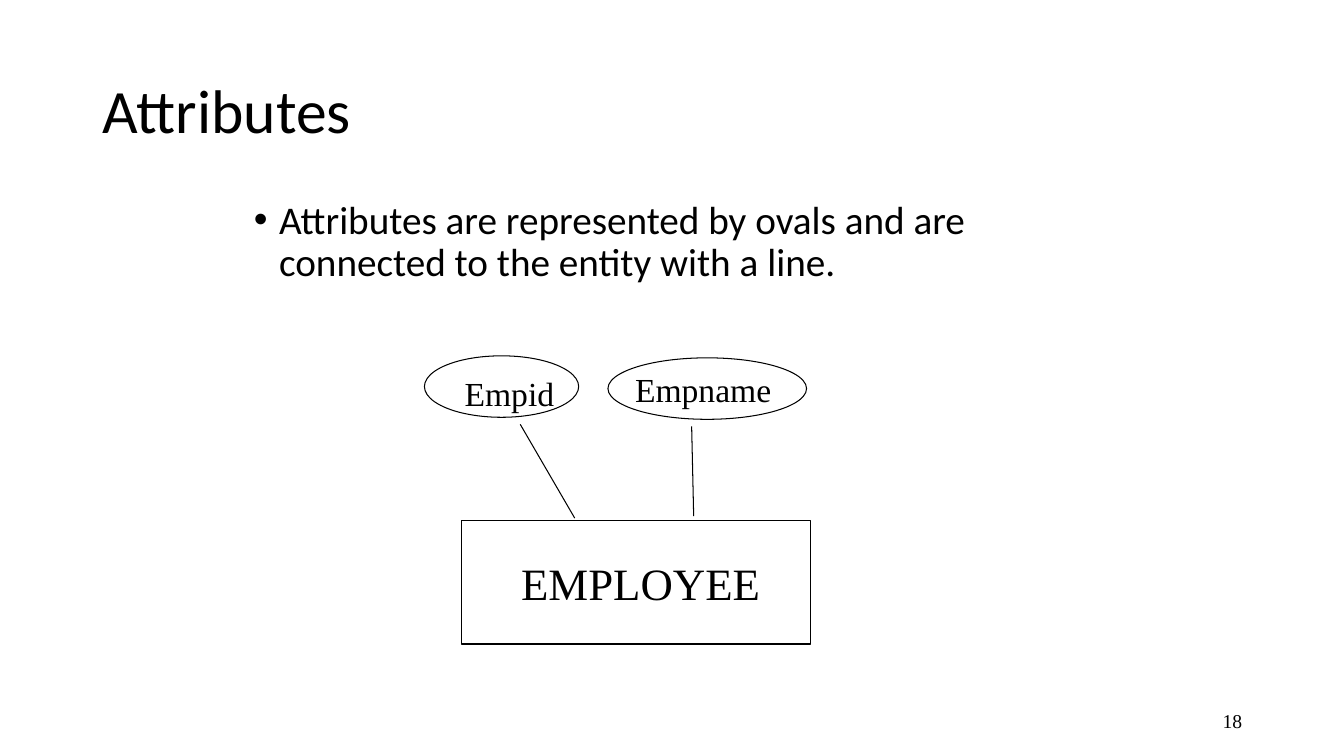
from lxml.etree import SubElement
from pptx import Presentation
from pptx.dml.color import RGBColor
from pptx.enum.shapes import MSO_CONNECTOR as Connector, MSO_SHAPE as Shape
from pptx.enum.text import MSO_ANCHOR as Anchor, PP_ALIGN as Align
from pptx.oxml.ns import qn
from pptx.util import Inches, Pt

COLORS = {"ink": "000000", "background": "FFFFFF"}
SANS, SERIF = "Calibri", "Times New Roman"
LINE_WIDTH = Pt(0.75)


def color(name):
    """Return a named colour."""
    return RGBColor.from_string(COLORS[name])


def add_text(slide, box, text, size, font=SERIF, anchor=Anchor.TOP,
             align=Align.LEFT, wrap=True, spacing=None, bullet=False):
    """Add a one-paragraph text box."""
    frame = slide.shapes.add_textbox(*map(Inches, box)).text_frame
    frame.word_wrap = wrap
    frame.vertical_anchor = anchor
    paragraph = frame.paragraphs[0]
    paragraph.text = text
    paragraph.alignment = align
    if spacing:
        paragraph.line_spacing = spacing
    if bullet:
        add_bullet(paragraph)
    paragraph.font.name = font
    paragraph.font.size = Pt(size)
    paragraph.font.color.rgb = color("ink")


def add_bullet(paragraph):
    """Give a paragraph a round bullet with a hanging indent."""
    properties = paragraph._p.get_or_add_pPr()
    properties.set("marL", str(Inches(0.25)))
    properties.set("indent", str(Inches(-0.25)))
    SubElement(properties, qn("a:buFont"), typeface="Arial")
    SubElement(properties, qn("a:buChar"), char="•")


def add_outline(slide, kind, box):
    """Add an unfilled shape with a thin outline."""
    shape = slide.shapes.add_shape(kind, *map(Inches, box))
    shape.shadow.inherit = False
    shape.fill.background()
    shape.line.color.rgb = color("ink")
    shape.line.width = LINE_WIDTH


def add_line(slide, start, end):
    """Add a thin straight line between two points."""
    line = slide.shapes.add_connector(
        Connector.STRAIGHT, *map(Inches, start + end))
    line.line.color.rgb = color("ink")
    line.line.width = LINE_WIDTH
    SubElement(line._element.spPr, qn("a:effectLst"))


def add_attribute(slide, oval, label_box, name, start, end):
    """Add an attribute oval, its label and its line to the entity."""
    add_outline(slide, Shape.OVAL, oval)
    add_line(slide, start, end)
    add_text(slide, label_box, name, 24, wrap=False)


def add_entity(slide, box, label_box, name):
    """Add an entity rectangle with its label."""
    add_outline(slide, Shape.RECTANGLE, box)
    add_text(slide, label_box, name, 32)


def main():
    """Build the slide and save it."""
    presentation = Presentation()
    presentation.slide_width = Inches(13.33)
    presentation.slide_height = Inches(7.5)
    slide = presentation.slides.add_slide(presentation.slide_layouts[6])
    slide.background.fill.solid()
    slide.background.fill.fore_color.rgb = color("background")

    add_text(slide, (0.92, 0.4, 11.5, 1.45), "Attributes", 44, SANS,
             anchor=Anchor.MIDDLE, spacing=0.9)
    add_text(slide, (2.42, 1.94, 8.5, 4.5),
             "Attributes are represented by ovals and are connected "
             "to the entity with a line.", 28, SANS, spacing=0.9, bullet=True)
    add_text(slide, (9.42, 6.95, 3, 0.4), "18", 14,
             anchor=Anchor.MIDDLE, align=Align.RIGHT)

    add_entity(slide, (4.58, 5.16, 3.46, 1.23), (5.07, 5.46, 2.65, 0.64),
               "EMPLOYEE")
    add_attribute(slide, (4.21, 3.53, 1.53, 0.61), (4.51, 3.65, 1.1, 0.51),
                  "Empid", (5.16, 4.21), (5.7, 5.14))
    add_attribute(slide, (6.03, 3.55, 1.97, 0.61), (6.2, 3.61, 1.56, 0.5),
                  "Empname", (6.86, 4.23), (6.88, 5.12))

    presentation.save("out.pptx")


if __name__ == "__main__":
    main()
